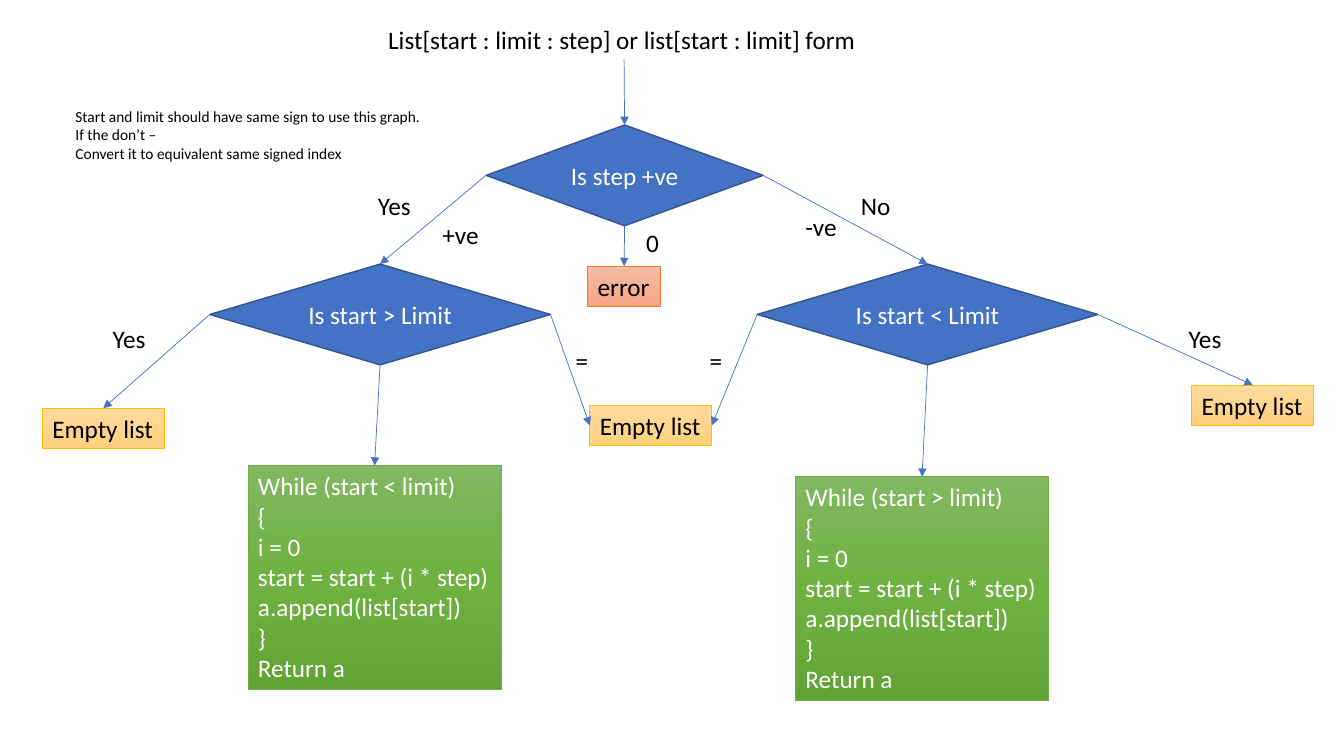
"""Build a flowchart slide on how list slicing picks its branch."""
from copy import deepcopy

from lxml import etree
from pptx import Presentation
from pptx.dml.color import RGBColor
from pptx.enum.shapes import MSO_CONNECTOR as Connector, MSO_SHAPE as Shape
from pptx.enum.text import MSO_ANCHOR as Anchor, MSO_AUTO_SIZE as AutoSize, PP_ALIGN as Align
from pptx.oxml.ns import qn
from pptx.util import Inches, Pt

COLORS = {"blue": "4472C4", "navy": "325491", "white": "FFFFFF", "black": "000000"}
GRADIENTS = {
    "empty": ("FFDB9E", "FFD590", "FFD07C"),
    "error": ("F7BDA5", "F5B196", "F8A582"),
    "loop": ("81B861", "6FB242", "62A336"),
}
BORDERS = {"empty": "FFC000", "error": "ED7D31", "loop": "70AD47"}
BOX_SIZES = {"empty": (1.21, 0.4), "error": (0.72, 0.4), "loop": (2.51, 2.22)}
TOP, LEFT, BOTTOM, RIGHT = range(4)

TITLE = ("List[start : limit : step] or list[start : limit] form", 3.75, 0.19, 4.88, 0.4)
NOTE = (
    "Start and limit should have same sign to use this graph.\n"
    "If the don’t –\n"
    "Convert it to equivalent same signed index"
)
LOOP = "While (start {} limit)\n{{\ni = 0\nstart = start + (i * step)\na.append(list[start])\n}}\nReturn a"

DECISIONS = {
    "step": ("Is step +ve", 4.82, 1.24, 2.75),
    "positive": ("Is start > Limit", 2.08, 2.62, 3.38),
    "negative": ("Is start < Limit", 7.51, 2.62, 3.38),
}
OUTCOMES = {
    "left empty": ("empty", "Empty list", 0.42, 4.05),
    "middle empty": ("empty", "Empty list", 5.85, 4.02),
    "right empty": ("empty", "Empty list", 11.82, 3.82),
    "zero step": ("error", "error", 5.83, 2.64),
    "rising loop": ("loop", LOOP.format("<"), 2.46, 4.62),
    "falling loop": ("loop", LOOP.format(">"), 7.89, 4.73),
}
ARROWS = [
    ("title", BOTTOM, "step", TOP),
    ("step", LEFT, "positive", TOP),
    ("step", BOTTOM, "zero step", TOP),
    ("step", RIGHT, "negative", TOP),
    ("positive", LEFT, "left empty", TOP),
    ("positive", BOTTOM, "rising loop", TOP),
    ("positive", RIGHT, "middle empty", LEFT),
    ("negative", LEFT, "middle empty", RIGHT),
    ("negative", BOTTOM, "falling loop", TOP),
    ("negative", RIGHT, "right empty", TOP),
]
LABELS = [
    ("Yes", 3.65, 1.84, 0.53),
    ("No", 8.44, 1.84, 0.5),
    ("+ve", 4.29, 2.13, 0.57),
    ("-ve", 7.89, 2.05, 0.52),
    ("0", 6.31, 2.21, 0.33),
    ("Yes", 1.02, 3.16, 0.53),
    ("Yes", 11.69, 3.16, 0.53),
    ("=", 5.61, 3.38, 0.33),
    ("=", 6.94, 3.38, 0.33),
]


def rgb(name):
    return RGBColor.from_string(COLORS.get(name, name))


def write(shape, text, color="black", size=18, align=Align.LEFT, anchor=Anchor.TOP, wrap=False):
    frame = shape.text_frame
    frame.text = text
    frame.word_wrap = wrap
    frame.auto_size = AutoSize.NONE if wrap else AutoSize.SHAPE_TO_FIT_TEXT
    frame.vertical_anchor = anchor
    for paragraph in frame.paragraphs:
        paragraph.alignment = align
        paragraph.line_spacing = 1.0
        paragraph.font.name = "Calibri"
        paragraph.font.size = Pt(size)
        paragraph.font.color.rgb = rgb(color)


def add_node(slide, kind, box, border, width):
    node = slide.shapes.add_shape(kind, *map(Inches, box))
    node.shadow.inherit = False
    node.line.color.rgb = rgb(border)
    node.line.width = Pt(width)
    return node


def add_decision(slide, text, left, top, width):
    diamond = add_node(slide, Shape.DIAMOND, (left, top, width, 1), "navy", 1)
    diamond.fill.solid()
    diamond.fill.fore_color.rgb = rgb("blue")
    write(diamond, text, "white", align=Align.CENTER, anchor=Anchor.MIDDLE, wrap=True)
    return diamond


def add_outcome(slide, kind, text, left, top):
    box = add_node(slide, Shape.RECTANGLE, (left, top, *BOX_SIZES[kind]), BORDERS[kind], 0.5)
    box.fill.gradient()
    box.fill.gradient_angle = 270
    stop_list = next(box._element.spPr.iter(qn("a:gsLst")))
    stop_list.insert(1, deepcopy(stop_list[0]))
    for stop, position, color in zip(box.fill.gradient_stops, (0, 0.5, 1), GRADIENTS[kind]):
        stop.position = position
        stop.color.rgb = rgb(color)
    write(box, text, "white" if kind == "loop" else "black")
    return box


def add_arrow(slide, source, source_side, target, target_side):
    arrow = slide.shapes.add_connector(Connector.STRAIGHT, 0, 0, 0, 0)
    arrow.begin_connect(source, source_side)
    arrow.end_connect(target, target_side)
    arrow.line.color.rgb = rgb("blue")
    arrow.line.width = Pt(0.5)
    etree.SubElement(arrow.line._get_or_add_ln(), qn("a:tailEnd"), type="triangle")
    etree.SubElement(arrow._element.spPr, qn("a:effectLst"))


def add_label(slide, text, left, top, width, height=0.4, size=18):
    label = slide.shapes.add_textbox(*map(Inches, (left, top, width, height)))
    write(label, text, size=size)


def main():
    deck = Presentation()
    deck.slide_width, deck.slide_height = Inches(13.33), Inches(7.5)
    slide = deck.slides.add_slide(deck.slide_layouts[5])

    title = slide.shapes.title
    heading, *title_box = TITLE
    title.left, title.top, title.width, title.height = map(Inches, title_box)
    write(title, heading)

    nodes = {"title": title}
    for name, decision in DECISIONS.items():
        nodes[name] = add_decision(slide, *decision)
    for name, outcome in OUTCOMES.items():
        nodes[name] = add_outcome(slide, *outcome)
    for source, source_side, target, target_side in ARROWS:
        add_arrow(slide, nodes[source], source_side, nodes[target], target_side)
    for label in LABELS:
        add_label(slide, *label)
    add_label(slide, NOTE, 0.65, 1.01, 3.64, 0.66, size=11)

    deck.save("out.pptx")


main()
